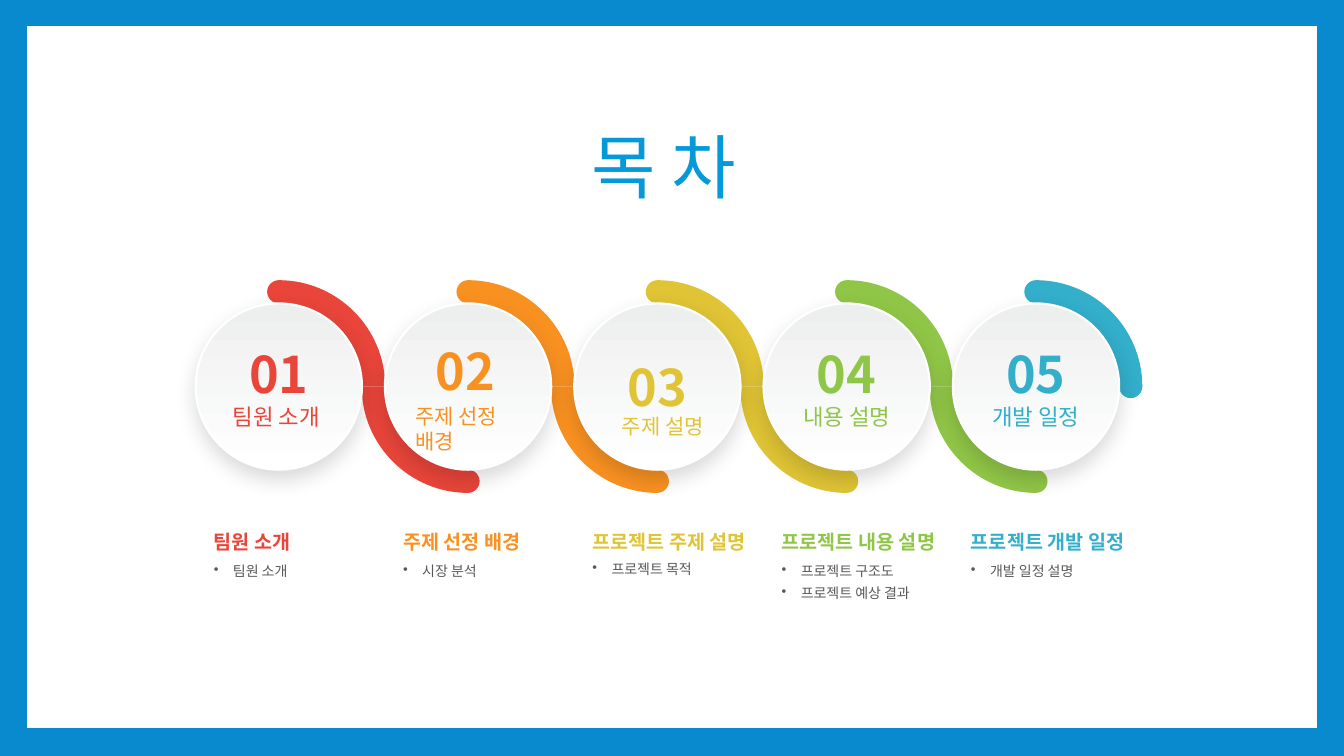
from math import cos, pi, sin

from lxml.etree import Element, SubElement
from pptx import Presentation
from pptx.dml.color import RGBColor
from pptx.enum.shapes import MSO_SHAPE as Shape
from pptx.enum.text import MSO_ANCHOR as Anchor, MSO_AUTO_SIZE as AutoSize, PP_ALIGN as Align
from pptx.oxml.ns import qn
from pptx.util import Inches, Pt

TITLE = "목 차"
CHAPTERS = [
    ("01", "팀원 소개 ", "팀원 소개", ["팀원 소개"], "red"),
    ("02", "주제 선정 배경", "주제 선정 배경", ["시장 분석"], "orange"),
    ("03", "주제 설명", "프로젝트 주제 설명", ["프로젝트 목적"], "yellow"),
    ("04", "내용 설명", "프로젝트 내용 설명", ["프로젝트 구조도", "프로젝트 예상 결과"], "green"),
    ("05", "개발 일정", "프로젝트 개발 일정", ["개발 일정 설명"], "teal"),
]
LOOSE_NUMBERS = {"02": (4.22, 3.32, 1.15, 0.71)}
LOOSE_LABELS = {"02": (4.02, 3.95, 1.39, 0.35), "03": (6.07, 4.05, 1.39, 0.35)}
RAISED_TOPICS = {"03": 0.02}
COLORS = {
    "red": "E9453A", "orange": "F99121", "yellow": "E0C435", "green": "90C647",
    "teal": "33AECB", "frame": "098ACF", "title": "0599D9", "topic": "595959",
    "disc_top": "EDEFEE", "white": "FFFFFF", "shadow": "000000",
}
FONT = "Noto Sans CJK KR"
NUMBER = {"size": Pt(36), "bold": True}
DISC_LABEL = {"size": Pt(16), "bold": False}
LOOSE_LABEL = {"size": Pt(15), "bold": False}
HEADING = {"size": Pt(14), "bold": True}
TOPIC = {"size": Pt(10), "bold": False}
TITLE_FORMAT = {"size": Pt(50), "bold": False}

SLIDE_W, SLIDE_H = 13.33, 7.5
FRAME = (0.13, 0.12, 13.07, 7.24)
TITLE_BOX = (5.77, 1.18, 1.95, 0.94)
DISC_LEFT, DISC_TOP, DISC, CAP = 1.94, 3.01, 1.65, 0.23
GAPS = len(CHAPTERS) - 1
PITCH = 7.51 / GAPS
FIRST_X, CENTER_Y = DISC_LEFT + DISC / 2, DISC_TOP + DISC / 2
OUTER, INNER = 2.11 / 2, 0.81
CAP_TRACK = OUTER - CAP / 2
BEZIER = 0.55
COLUMN_X, COLUMN_W = 2.12, 1.65
HEADING_Y, TOPIC_Y, HEADING_H, LINE_H = 5.25, 5.53, 0.24, 0.21


def rgb(name):
    return RGBColor.from_string(COLORS[name])


def inches(box):
    return [Inches(length) for length in box]


def write(paragraph, text, color, font_format):
    run = paragraph.add_run()
    run.text = text
    for key, value in font_format.items():
        setattr(run.font, key, value)
    run.font.name = FONT
    run.font.color.rgb = rgb(color)


def text_frame(box, inset=True, anchor=Anchor.TOP):
    frame = slide.shapes.add_textbox(*inches(box)).text_frame
    frame.word_wrap = True
    frame.vertical_anchor = anchor
    if not inset:
        for side in ("left", "right", "top", "bottom"):
            setattr(frame, f"margin_{side}", 0)
    return frame


def plain(shape, color):
    shape.shadow.inherit = False
    shape.fill.solid()
    shape.fill.fore_color.rgb = rgb(color)
    shape.line.fill.background()


def add_quarter(center_x, start, color):
    def point(radius, angle, bend=0):
        x = radius * (cos(angle) - bend * sin(angle))
        y = radius * (sin(angle) + bend * cos(angle))
        return inches((center_x + x, CENTER_Y + y))

    end = start + pi / 2
    corners = [point(OUTER, start), point(OUTER, end), point(INNER, end), point(INNER, start)]
    builder = slide.shapes.build_freeform(*corners[0])
    builder.add_line_segments(corners[1:], close=True)
    quarter = builder.convert_to_shape()
    plain(quarter, color)
    edges = list(quarter._element.iter(qn("a:lnTo")))
    curves = (
        (edges[0], (point(OUTER, start, BEZIER), point(OUTER, end, -BEZIER), corners[1])),
        (edges[2], (point(INNER, end, -BEZIER), point(INNER, start, BEZIER), corners[3])),
    )
    for edge, controls in curves:
        curve = Element(qn("a:cubicBezTo"))
        for x, y in controls:
            SubElement(curve, qn("a:pt"), x=str(x - quarter.left), y=str(y - quarter.top))
        edge.getparent().replace(edge, curve)


def add_ribbon(index, color):
    center_x = FIRST_X + index * PITCH
    next_x = center_x + PITCH
    add_quarter(center_x, -pi / 2, color)
    caps = [(center_x, CENTER_Y - CAP_TRACK)]
    if index < GAPS:
        add_quarter(next_x, pi / 2, color)
        caps.append((next_x, CENTER_Y + CAP_TRACK))
    else:
        caps.append((center_x + CAP_TRACK, CENTER_Y))
    for x, y in caps:
        box = (x - CAP / 2, y - CAP / 2, CAP, CAP)
        plain(slide.shapes.add_shape(Shape.OVAL, *inches(box)), color)


def add_disc(index):
    number, label, _, _, color = CHAPTERS[index]
    box = (DISC_LEFT + index * PITCH, DISC_TOP, DISC, DISC)
    disc = slide.shapes.add_shape(Shape.OVAL, *inches(box))
    disc.fill.gradient()
    disc.fill.gradient_angle = 270
    for stop, shade, position in zip(disc.fill.gradient_stops, ("disc_top", "white"), (0, 1)):
        stop.color.rgb = rgb(shade)
        stop.position = position
    disc.line.color.rgb = rgb("white")
    disc.line.width = Pt(1.5)
    disc.shadow.inherit = False
    effects = disc._element.spPr.find(qn("a:effectLst"))
    shadow = SubElement(effects, qn("a:outerShdw"), blurRad=str(Pt(15)), dist=str(Pt(6)),
                        dir="5400000", algn="t", rotWithShape="0")
    tint = SubElement(shadow, qn("a:srgbClr"), val=COLORS["shadow"])
    SubElement(tint, qn("a:alpha"), val="15000")

    frame = disc.text_frame
    frame.word_wrap = True
    frame.vertical_anchor = Anchor.MIDDLE
    lines = []
    if number not in LOOSE_NUMBERS:
        lines.append((number, NUMBER))
    if number not in LOOSE_LABELS:
        lines.append((label, DISC_LABEL))
    for row, (text, font_format) in enumerate(lines):
        paragraph = frame.add_paragraph() if row else frame.paragraphs[0]
        paragraph.alignment = Align.CENTER
        write(paragraph, text, color, font_format)


def add_column(index):
    number, label, heading, topics, color = CHAPTERS[index]
    x = COLUMN_X + index * PITCH
    frame = text_frame((x, HEADING_Y, COLUMN_W, HEADING_H), False, Anchor.MIDDLE)
    write(frame.paragraphs[0], heading, color, HEADING)
    topic_y = TOPIC_Y - RAISED_TOPICS.get(number, 0)
    frame = text_frame((x, topic_y, COLUMN_W, LINE_H * len(topics)), False)
    for row, topic in enumerate(topics):
        paragraph = frame.add_paragraph() if row else frame.paragraphs[0]
        paragraph.line_spacing = 1.3
        properties = paragraph._p.get_or_add_pPr()
        properties.set("marL", str(Inches(0.19)))
        properties.set("indent", str(-Inches(0.19)))
        SubElement(properties, qn("a:buChar"), char="•")
        write(paragraph, topic, "topic", TOPIC)
    for text, boxes, font_format in ((number, LOOSE_NUMBERS, NUMBER),
                                     (label, LOOSE_LABELS, LOOSE_LABEL)):
        if number in boxes:
            write(text_frame(boxes[number]).paragraphs[0], text, color, font_format)


deck = Presentation()
deck.slide_width, deck.slide_height = inches((SLIDE_W, SLIDE_H))
slide = deck.slides.add_slide(deck.slide_layouts[5])

border = slide.shapes.add_shape(Shape.RECTANGLE, *inches(FRAME))
border.shadow.inherit = False
border.fill.background()
border.line.color.rgb = rgb("frame")
border.line.width = Pt(20)
SubElement(border._element.spPr.find(qn("a:ln")), qn("a:miter"), lim="800000")

title = slide.shapes.title
title.left, title.top, title.width, title.height = inches(TITLE_BOX)
title.text_frame.vertical_anchor = Anchor.TOP
title.text_frame.auto_size = AutoSize.NONE
title.text_frame.paragraphs[0].alignment = Align.LEFT
write(title.text_frame.paragraphs[0], TITLE, "title", TITLE_FORMAT)

for index in reversed(range(len(CHAPTERS))):
    add_ribbon(index, CHAPTERS[index][-1])
    if index < GAPS:
        add_disc(index + 1)
add_disc(0)
for index in range(len(CHAPTERS)):
    add_column(index)

deck.save("out.pptx")
